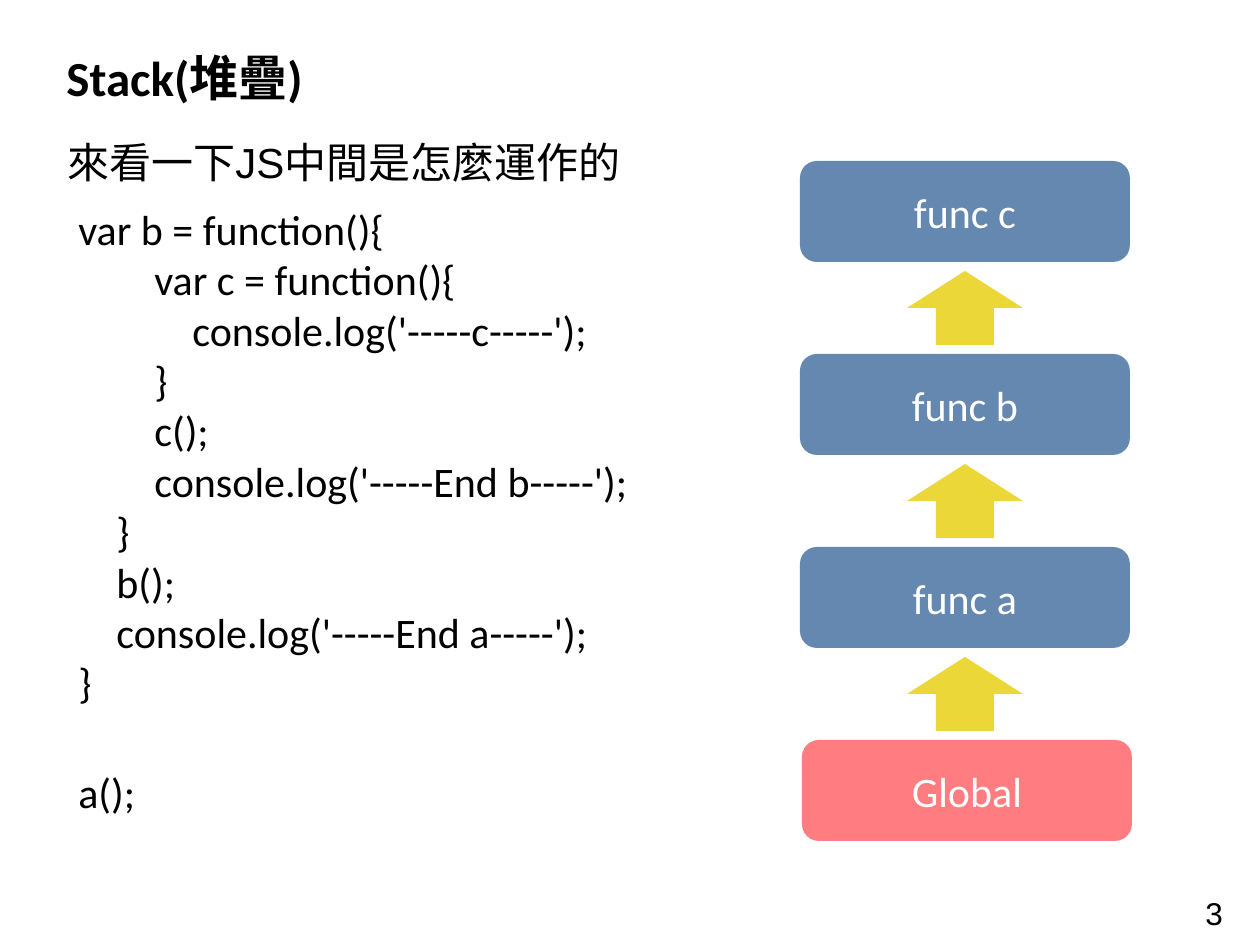
from pptx import Presentation
from pptx.dml.color import RGBColor
from pptx.enum.shapes import MSO_SHAPE as SHAPE
from pptx.enum.text import MSO_ANCHOR as ANCHOR, PP_ALIGN as ALIGN
from pptx.util import Pt

PX = 914400 / 126
COLORS = {"text": "000000", "label": "FFFFFF", "func": "6488B0",
          "global": "FF7C80", "arrow": "ECD738"}
FORMATS = {
    "title": {"name": "Calibri", "size": Pt(28), "bold": True},
    "intro": {"name": "Arial", "size": Pt(24)},
    "code": {"name": "Calibri", "size": Pt(24)},
    "number": {"name": "Arial", "size": Pt(18)},
}
CODE = """var b = function(){
        var c = function(){
            console.log('-----c-----');
        }
        c();
        console.log('-----End b-----');
    }
    b();
    console.log('-----End a-----');
}""".splitlines()
STACK = ["func c", "func b", "func a", "Global"]


def px(*values):
    return [round(v * PX) for v in values]


def rgb(key):
    return RGBColor.from_string(COLORS[key])


def write(p, text, style, color="text"):
    r = p.add_run()
    r.text = text
    for name, value in FORMATS[style].items():
        setattr(r.font, name, value)
    r.font.color.rgb = rgb(color)


def add_text(s, box, lines, style, anchor=ANCHOR.TOP, wrap=True):
    tf = s.shapes.add_textbox(*px(*box)).text_frame
    tf.word_wrap, tf.vertical_anchor = wrap, anchor
    for i, line in enumerate(lines):
        p = tf.add_paragraph() if i else tf.paragraphs[0]
        write(p, line, style)
    return tf


def add_block(s, kind, box, color):
    sp = s.shapes.add_shape(kind, *px(*box))
    sp.shadow.inherit = False
    sp.fill.solid()
    sp.fill.fore_color.rgb = rgb(color)
    sp.line.fill.background()
    return sp


def add_code(s, box):
    tf = add_text(s, box, CODE + ["a();"], "code", wrap=False)
    # The final call stands one line apart from the function
    tf.paragraphs[-1].space_before = Pt(34)


def add_stack(s, left, top, width, pitch):
    """Call stack from the newest call down, an arrow between each pair."""
    height, arrow_w, arrow_h, arrow_dy = 101, 116, 74, 110
    for i, label in enumerate(STACK):
        y = top + i * pitch
        is_global = label == "Global"
        x = left + 2 if is_global else left
        sp = add_block(s, SHAPE.ROUNDED_RECTANGLE, (x, y, width, height),
                       "global" if is_global else "func")
        tf = sp.text_frame
        tf.vertical_anchor = ANCHOR.MIDDLE
        p = tf.paragraphs[0]
        p.alignment = ALIGN.CENTER
        write(p, label, "code", "label")
        if not is_global:
            arrow_x = left + (width - arrow_w) / 2
            add_block(s, SHAPE.UP_ARROW,
                      (arrow_x, y + arrow_dy, arrow_w, arrow_h), "arrow")


def main():
    prs = Presentation()
    prs.slide_width, prs.slide_height = px(1260, 945)
    s = prs.slides.add_slide(prs.slide_layouts[6])

    # Heading and introduction
    add_text(s, (54, 38, 1152, 77), ["Stack(堆疊)"], "title", ANCHOR.MIDDLE)
    add_text(s, (55, 130, 630, 63), ["來看一下JS中間是怎麼運作的"], "intro")

    # Code on the left, call stack on the right
    add_code(s, (66, 197, 575, 626))
    add_stack(s, 800, 161, 330, 193)

    # Page number
    add_text(s, (1193, 888, 67, 39), ["3"], "number")
    prs.save("out.pptx")


if __name__ == "__main__":
    main()
